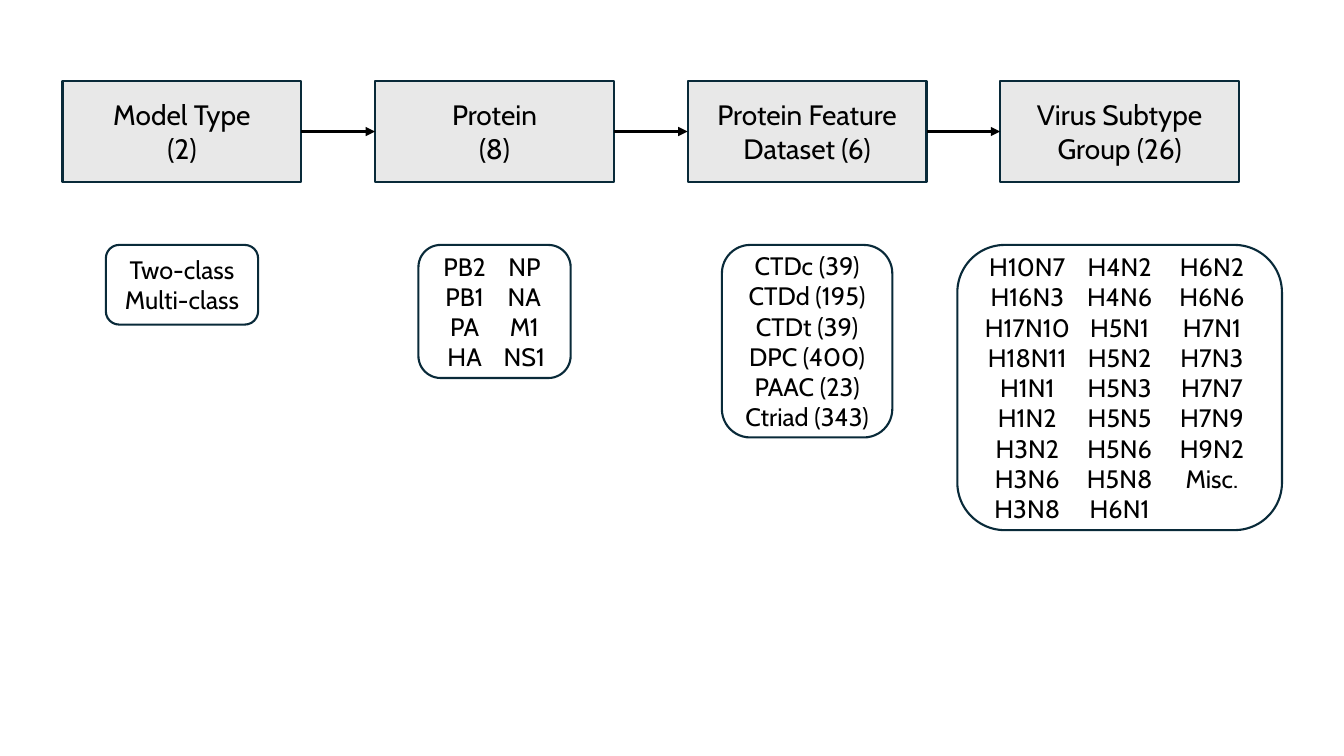
from dataclasses import dataclass
from itertools import pairwise

from pptx import Presentation
from pptx.dml.color import RGBColor
from pptx.enum.shapes import MSO_CONNECTOR as Connector, MSO_SHAPE as Preset
from pptx.enum.text import MSO_ANCHOR as Anchor, PP_ALIGN as Align
from pptx.oxml.ns import qn
from pptx.oxml.xmlchemy import OxmlElement
from pptx.util import Inches, Pt


@dataclass(frozen=True)
class Theme:
    font: str = "Cabin"
    text: RGBColor = RGBColor(0x00, 0x00, 0x00)
    step_fill: RGBColor = RGBColor(0xE8, 0xE8, 0xE8)
    outline: RGBColor = RGBColor(0x09, 0x2A, 0x39)
    step_size: int = 20
    option_size: int = 18
    outline_width: float = 1.5
    arrow_width: float = 2.25


THEME = Theme()

# Layout in inches
STEP_LEFT, STEP_TOP, STEP_PITCH = 0.62, 0.8, 3.1
STEP_WIDTH, STEP_HEIGHT = 2.37, 1.01
OPTIONS_TOP = 2.43
LEFT_SITE, RIGHT_SITE = 1, 3


@dataclass(frozen=True)
class Step:
    title: str
    options: str
    width: float
    height: float
    columns: int = 1


STEPS = [
    Step("Model Type\n(2)", "Two-class Multi-class", 1.51, 0.79),
    Step("Protein\n(8)", "PB2 PB1 PA HA NP NA M1 NS1", 1.51, 1.32, 2),
    Step("Protein Feature Dataset (6)",
         "CTDc (39),CTDd (195),CTDt (39),DPC (400),PAAC (23),Ctriad (343)",
         1.69, 1.91),
    Step("Virus Subtype Group (26)",
         "H10N7 H16N3 H17N10 H18N11 H1N1 H1N2 H3N2 H3N6 H3N8 "
         "H4N2 H4N6 H5N1 H5N2 H5N3 H5N5 H5N6 H5N8 H6N1 "
         "H6N2 H6N6 H7N1 H7N3 H7N7 H7N9 H9N2 Misc.",
         3.22, 2.83, 3),
]


def write_text(shape, lines, *, size, columns=1):
    """Fill a shape with one centred paragraph per line."""
    frame = shape.text_frame
    frame.word_wrap = True
    frame.vertical_anchor = Anchor.MIDDLE
    if columns > 1:
        body = shape.element.txBody.find(qn("a:bodyPr"))
        body.set("numCol", str(columns))
    frame.text = "\n".join(lines)
    for paragraph in frame.paragraphs:
        paragraph.alignment = Align.CENTER
        for run in paragraph.runs:
            run.font.name = THEME.font
            run.font.size = Pt(size)
            run.font.color.rgb = THEME.text


def add_box(shapes, preset, left, top, width, height, fill=None):
    box = shapes.add_shape(preset, Inches(left), Inches(top),
                           Inches(width), Inches(height))
    box.shadow.inherit = False
    if fill is None:
        box.fill.background()
    else:
        box.fill.solid()
        box.fill.fore_color.rgb = fill
    box.line.color.rgb = THEME.outline
    box.line.width = Pt(THEME.outline_width)
    return box


def add_step(shapes, index, step):
    box = add_box(shapes, Preset.RECTANGLE, STEP_LEFT + index * STEP_PITCH,
                  STEP_TOP, STEP_WIDTH, STEP_HEIGHT, THEME.step_fill)
    write_text(box, step.title.split("\n"), size=THEME.step_size)
    return box


def add_options(shapes, index, step):
    """Place the option list centred below its step."""
    center = STEP_LEFT + index * STEP_PITCH + STEP_WIDTH / 2
    box = add_box(shapes, Preset.ROUNDED_RECTANGLE, center - step.width / 2,
                  OPTIONS_TOP, step.width, step.height)
    separator = "," if "," in step.options else " "
    write_text(box, step.options.split(separator),
               size=THEME.option_size, columns=step.columns)


def add_arrow(shapes, source, target):
    middle = source.top + source.height // 2
    arrow = shapes.add_connector(Connector.STRAIGHT, source.left + source.width,
                                 middle, target.left, middle)
    arrow.begin_connect(source, RIGHT_SITE)
    arrow.end_connect(target, LEFT_SITE)
    arrow.line.color.rgb = THEME.text
    arrow.line.width = Pt(THEME.arrow_width)
    head = OxmlElement("a:tailEnd")
    head.set("type", "triangle")
    arrow.line._get_or_add_ln().append(head)
    arrow.element.spPr.append(OxmlElement("a:effectLst"))


def main():
    presentation = Presentation()
    presentation.slide_width = Inches(13.33)
    presentation.slide_height = Inches(7.5)
    slide = presentation.slides.add_slide(presentation.slide_layouts[6])

    # Row of steps
    row = slide.shapes.add_group_shape()
    boxes = [add_step(row.shapes, index, step)
             for index, step in enumerate(STEPS)]

    # Options of each step
    for index, step in enumerate(STEPS):
        add_options(slide.shapes, index, step)

    # Arrows between neighbouring steps
    for source, target in pairwise(boxes):
        add_arrow(slide.shapes, source, target)

    presentation.save("out.pptx")


if __name__ == "__main__":
    main()
